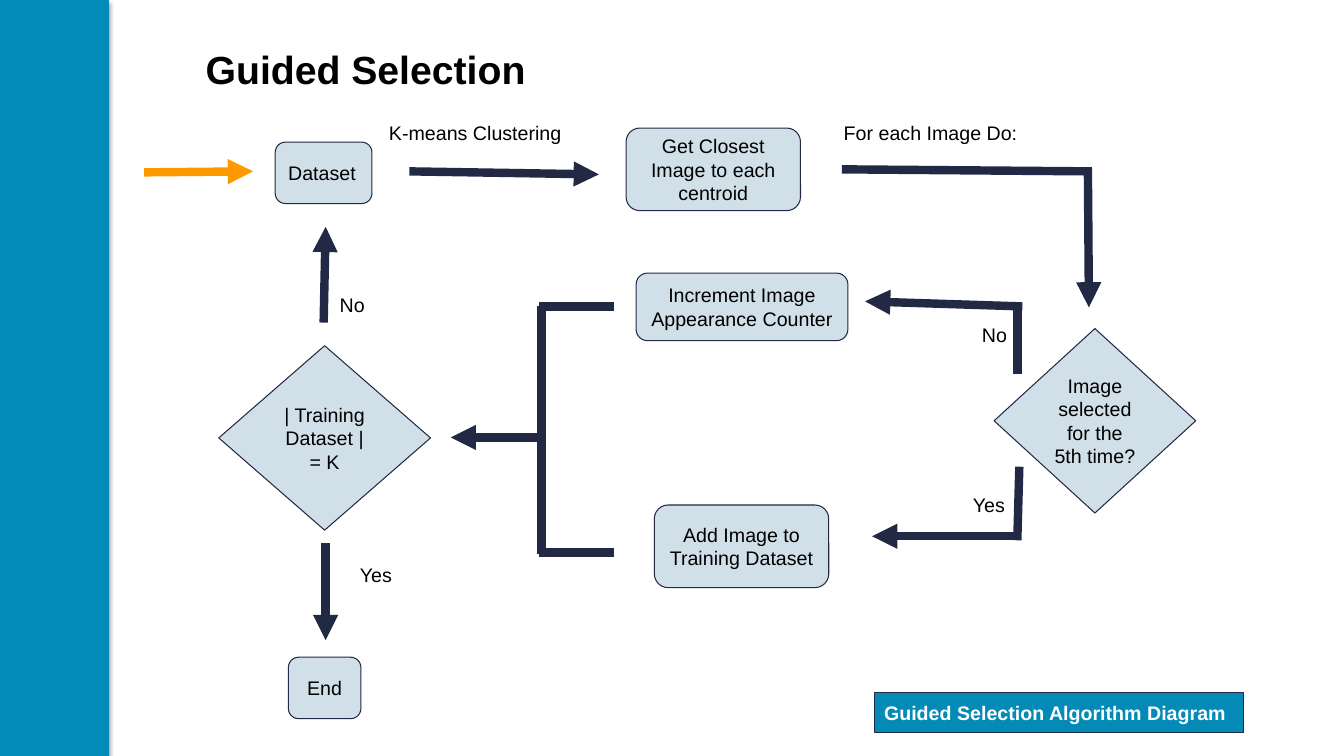
from lxml import etree
from pptx import Presentation
from pptx.dml.color import RGBColor
from pptx.enum.shapes import MSO_CONNECTOR, MSO_SHAPE
from pptx.enum.text import MSO_ANCHOR, MSO_AUTO_SIZE, PP_ALIGN
from pptx.oxml import parse_xml
from pptx.oxml.ns import nsdecls, qn
from pptx.util import Inches, Pt

RECT, ROUND, DIAMOND = MSO_SHAPE.RECTANGLE, MSO_SHAPE.ROUNDED_RECTANGLE, MSO_SHAPE.DIAMOND
LEFT, CENTER = PP_ALIGN.LEFT, PP_ALIGN.CENTER
TOP, MIDDLE = MSO_ANCHOR.TOP, MSO_ANCHOR.MIDDLE
STRAIGHT = MSO_CONNECTOR.STRAIGHT
NO_FIT = MSO_AUTO_SIZE.NONE

COLORS = {"teal": "038AB7", "pale": "D1DFE9", "navy": "222944",
          "orange": "FF9900", "black": "000000", "white": "FFFFFF"}
FONT = "Arial"

# Content: lengths in inches
TITLE = "Guided Selection"
CAPTION = "Guided Selection Algorithm Diagram"

# shape, (left, top, width, height), paragraphs, alignment
STEPS = [
    (ROUND, (2.73, 1.41, 0.96, 0.61), ["Dataset"], LEFT),
    (ROUND, (6.21, 1.27, 1.73, 0.82), ["Get Closest Image to each centroid"], CENTER),
    (DIAMOND, (9.86, 3.26, 2, 1.83), ["Image selected for the 5th time?"], CENTER),
    (ROUND, (6.31, 2.71, 2.1, 0.67), ["Increment Image Appearance Counter"], CENTER),
    (ROUND, (6.49, 5.01, 1.73, 0.82), ["Add Image to Training Dataset"], CENTER),
    (DIAMOND, (2.17, 3.43, 2.1, 1.83), ["| Training Dataset |", "= K"], CENTER),
    (ROUND, (2.86, 6.52, 0.72, 0.61), ["End"], CENTER),
]

# text, left, top, width
LABELS = [
    ("K-means Clustering", 3.76, 1.1, 2),
    ("For each Image Do:", 8.27, 1.1, 2),
    ("No", 9.64, 3.1, 1.52),
    ("Yes", 9.55, 4.79, 0.59),
    ("No", 3.27, 2.81, 0.59),
    ("Yes", 3.47, 5.48, 0.59),
]
LABEL_HEIGHT = 0.43

# start, end, color
ARROWS = [
    ((1.43, 1.71), (2.51, 1.7), "orange"),
    ((4.06, 1.7), (5.94, 1.73), "navy"),
    ((10.79, 1.67), (10.8, 3.05), "navy"),
    ((10.14, 3.04), (8.58, 2.99), "navy"),
    ((10.12, 5.32), (8.65, 5.32), "navy"),
    ((5.37, 4.34), (4.47, 4.34), "navy"),
    ((3.21, 3.2), (3.23, 2.25), "navy"),
    ((3.23, 5.39), (3.23, 6.35), "navy"),
]
PLAIN_LINES = [
    ((8.35, 1.68), (10.83, 1.7), "navy"),
    ((10.09, 3.02), (10.09, 3.71), "navy"),
    ((10.11, 4.63), (10.09, 5.36), "navy"),
    ((5.35, 3.04), (6.09, 3.04), "navy"),
    ((5.35, 5.48), (6.09, 5.48), "navy"),
    ((5.37, 3.04), (5.37, 5.5), "navy"),
]


def rgb(name):
    return RGBColor.from_string(COLORS[name])


def inches(values):
    return [Inches(value) for value in values]


def write(shape, lines, align=LEFT, anchor=MIDDLE, size=14, color="black",
          bold=False, inset=0.1):
    frame = shape.text_frame
    frame.word_wrap = True
    frame.auto_size = NO_FIT
    frame.vertical_anchor = anchor
    frame.margin_left = frame.margin_right = Inches(0.1)
    frame.margin_top = frame.margin_bottom = Inches(inset)
    for index, line in enumerate(lines):
        para = frame.paragraphs[0] if index == 0 else frame.add_paragraph()
        para.alignment = align
        span = para.add_run()
        span.text = line
        span.font.name = FONT
        span.font.size = Pt(size)
        span.font.bold = bold
        span.font.color.rgb = rgb(color)


def add_box(slide, kind, place, fill, outlined=True):
    box = slide.shapes.add_shape(kind, *inches(place))
    box.shadow.inherit = False
    box.fill.solid()
    box.fill.fore_color.rgb = rgb(fill)
    if outlined:
        box.line.color.rgb = rgb("navy")
        box.line.width = Pt(0.75)
    else:
        box.line.fill.background()
    return box


def add_line(slide, start, end, color, arrow):
    line = slide.shapes.add_connector(STRAIGHT, *inches(start + end))
    line.line.color.rgb = rgb(color)
    line.line.width = Pt(6)
    if arrow:
        etree.SubElement(line.line._get_or_add_ln(), qn("a:tailEnd"), type="triangle")
    etree.SubElement(line._element.spPr, qn("a:effectLst"))


def add_soft_shadow(box):
    effects = box._element.spPr.find(qn("a:effectLst"))
    effects.append(parse_xml(
        f'<a:outerShdw {nsdecls("a")} blurRad="{Pt(3.1)}" dist="{Pt(1.8)}" '
        f'dir="5400000" rotWithShape="0"><a:srgbClr val="{COLORS["black"]}">'
        '<a:alpha val="35000"/></a:srgbClr></a:outerShdw>'))


def main():
    deck = Presentation()
    deck.slide_width, deck.slide_height = Inches(13.33), Inches(7.5)
    page = deck.slides.add_slide(deck.slide_layouts[5])

    # Side band
    add_soft_shadow(add_box(page, RECT, (0, 0, 1.08, 7.5), "teal", outlined=False))

    # Title
    title = page.shapes.title
    title.left, title.top, title.width, title.height = inches((1.94, 0.4, 8.71, 0.9))
    write(title, [TITLE], anchor=TOP, size=28, bold=True, inset=0.05)

    # Flowchart steps
    for kind, place, lines, align in STEPS:
        write(add_box(page, kind, place, "pale"), lines, align)

    # Labels beside the arrows
    for text, left, top, width in LABELS:
        label = page.shapes.add_textbox(*inches((left, top, width, LABEL_HEIGHT)))
        write(label, [text], anchor=TOP)

    # Arrows and plain lines
    for lines, arrow in ((ARROWS, True), (PLAIN_LINES, False)):
        for start, end, color in lines:
            add_line(page, start, end, color, arrow)

    # Caption
    caption = add_box(page, RECT, (8.67, 6.87, 3.66, 0.4), "teal")
    write(caption, [CAPTION], color="white", bold=True)

    deck.save("out.pptx")


if __name__ == "__main__":
    main()
